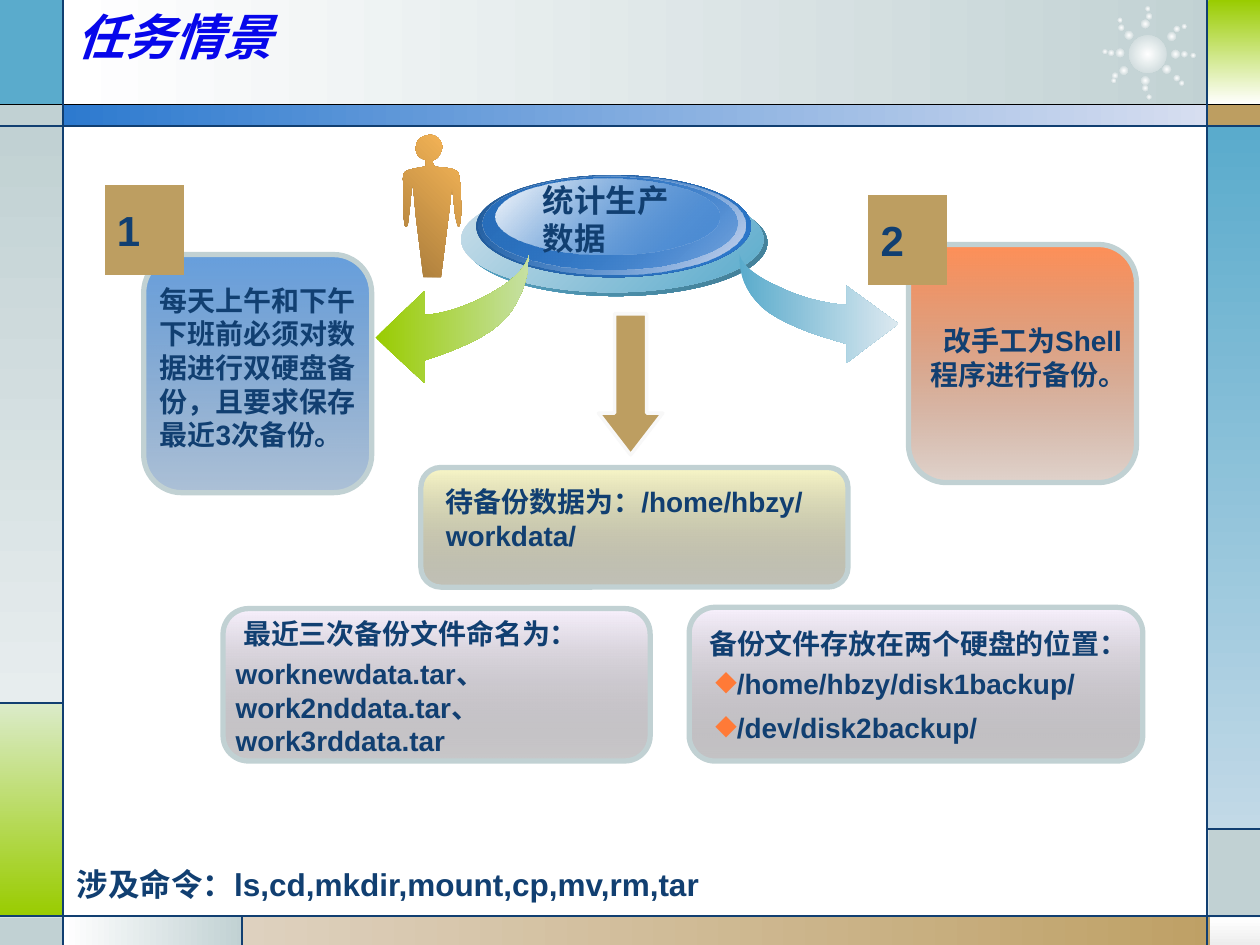
from lxml.etree import SubElement as Sub
from pptx import Presentation
from pptx.dml.color import RGBColor
from pptx.enum.shapes import MSO_CONNECTOR, MSO_SHAPE as SHP
from pptx.enum.text import MSO_ANCHOR as ANC, PP_ALIGN as ALN
from pptx.oxml import parse_xml
from pptx.oxml.ns import nsdecls, qn
from pptx.util import Inches, Pt

# Content: colours and fonts
NAVY, GREY, TAN, BLUE, SKY = "113F71", "C1D1D3", "BD9E61", "2D7ACF", "5AABCC"
LIME, DEEP, CJK = "99CC00", "205794", "Noto Sans CJK JP"
BODY = {"name": "Arial", "bold": True}
HEAD = {"name": CJK, "bold": True, "italic": True}

# A fill is a hex string, or (angle, stop, stop); a stop is (hex, opacity %)
BANDS = [
    ((0.5, 0, 9.27, 0.84), (0, "FFFFFF", GREY)),
    ((0, 0, 0.5, 0.84), SKY),
    ((0, 0.83, 0.5, 0.17), GREY),
    ((0, 1, 0.5, 4.58), (90, GREY, "E7EDEE")),
    ((0, 5.58, 0.5, 1.69), (90, "DBEBC9", LIME)),
    ((0, 7.28, 0.5, 0.22), GREY),
    ((0.5, 7.27, 1.43, 0.23), (0, "FFFFFF", GREY)),
    ((1.92, 7.27, 8.08, 0.23), (0, "DED1BF", TAN)),
    ((9.6, 7.28, 0.4, 0.22), (90, "FFFFFF", "EDEDED")),
    ((9.59, 6.58, 0.41, 0.7), GREY),
    ((9.58, 1, 0.42, 5.58), (90, SKY, "C2D9E7")),
    ((9.58, 0.83, 0.42, 0.17), TAN),
    ((9.59, 0, 0.41, 0.83), (90, LIME, "FFFFFF")),
    ((0.5, 0.83, 9.09, 0.17), (0, BLUE, "D7DEF0")),
]
RULES = [
    (0, 0.83, 10, 0.83, "000000"), (0, 1, 10, 1, NAVY),
    (0, 7.27, 10, 7.27, NAVY), (0.5, 0, 0.5, 7.5, NAVY),
    (9.58, 0, 9.58, 7.5, NAVY), (0, 5.58, 0.5, 5.58, NAVY),
    (1.92, 7.27, 1.92, 7.5, NAVY), (9.58, 6.58, 10, 6.58, NAVY),
]
# Star: centres of the large, middle and small dot of each ray
SIZES = (0.07, 0.05, 0.04)
RAYS = [
    ((9.26, 0.55), (9.34, 0.62), (9.38, 0.66)),
    ((9.33, 0.43), (9.4, 0.43), (9.47, 0.44)),
    ((9.3, 0.29), (9.34, 0.23), (9.4, 0.21)),
    ((9.09, 0.64), (9.09, 0.7), (9.12, 0.77)),
    ((9.09, 0.19), (9.12, 0.13), (9.11, 0.07)),
    ((8.96, 0.28), (8.9, 0.22), (8.89, 0.16)),
    ((8.89, 0.42), (8.82, 0.42), (8.77, 0.41)),
    ((8.92, 0.56), (8.85, 0.6), (8.84, 0.64)),
]
DISCS = [
    ((3.69, 1.5, 2.4, 0.85), (45, SKY, "427D95")),
    ((3.66, 1.48, 2.4, 0.84), (45, "CCDFEA", SKY)),
    ((3.78, 1.39, 2.18, 0.81), (45, DEEP, BLUE)),
    ((3.8, 1.39, 2.12, 0.79), (45, (BLUE, 0), "D4DCF0")),
    ((3.83, 1.4, 2.02, 0.74), (45, "296EBB", (BLUE, 48))),
    ((3.93, 1.42, 1.78, 0.6), (45, "FFFFFF", (BLUE, 38))),
]
# Outlines: two numbers are a corner, six a curve
MAN = [
    (3.44, 1.27), (3.48, 1.26, 3.5, 1.22, 3.51, 1.17),
    (3.51, 1.12, 3.47, 1.07, 3.41, 1.07), (3.34, 1.08, 3.3, 1.11, 3.3, 1.18),
    (3.3, 1.24, 3.34, 1.26, 3.38, 1.27), (3.38, 1.29, 3.38, 1.31, 3.38, 1.32),
    (3.34, 1.33, 3.25, 1.34, 3.22, 1.36), (3.19, 1.38, 3.2, 1.42, 3.2, 1.48),
    (3.2, 1.71), (3.21, 1.76, 3.21, 1.8, 3.22, 1.8),
    (3.24, 1.81, 3.24, 1.74, 3.25, 1.68), (3.27, 1.47),
    (3.28, 1.48, 3.29, 1.59, 3.3, 1.71), (3.36, 2.2), (3.5, 2.2), (3.56, 1.72),
    (3.58, 1.58, 3.58, 1.49, 3.59, 1.49), (3.61, 1.69),
    (3.62, 1.74, 3.63, 1.8, 3.64, 1.8), (3.65, 1.8, 3.66, 1.74, 3.66, 1.68),
    (3.66, 1.62, 3.66, 1.49, 3.65, 1.44), (3.64, 1.38, 3.65, 1.37, 3.61, 1.35),
    (3.58, 1.33, 3.47, 1.33, 3.45, 1.32), (3.44, 1.31, 3.43, 1.29, 3.44, 1.27),
]
LEFT = [
    (4.2, 2.02), (4.2, 2.13, 4.17, 2.34, 4.02, 2.52),
    (3.88, 2.67, 3.65, 2.77, 3.37, 2.86), (3.37, 3.04), (2.98, 2.68),
    (3.37, 2.31), (3.37, 2.5), (3.55, 2.49, 3.75, 2.41, 3.89, 2.33),
    (4.04, 2.25, 4.18, 2.13, 4.2, 2.02),
]
RIGHT = [
    (5.87, 2.02), (5.86, 2.16, 5.91, 2.31, 6.05, 2.44),
    (6.19, 2.56, 6.43, 2.65, 6.72, 2.73), (6.72, 2.88), (7.13, 2.57),
    (6.72, 2.27), (6.72, 2.42), (6.53, 2.41, 6.33, 2.35, 6.19, 2.28),
    (6.03, 2.21, 5.89, 2.12, 5.87, 2.02),
]
FORMS = [(MAN, (315, "A77B3B", "FAB858")), (LEFT, (0, LIME, "C6E0A4")),
         (RIGHT, (0, SKY, "DCE9F0"))]
CARDS = [
    ((1.14, 2.02, 1.81, 1.89), (90, (BLUE, 73), (DEEP, 37))),
    ((7.21, 1.94, 1.81, 1.89), (90, ("FF7A37", 84), ("763819", 22))),
    ((1.77, 4.83, 3.39, 1.21), (90, "F8F1FD", ("737075", 38))),
    ((3.34, 3.71, 3.39, 0.95), (90, "F9F7C7", ("73725C", 43))),
    ((5.47, 4.82, 3.6, 1.22), (90, "F8F1FD", ("737075", 41))),
]
# Texts: place, size, side inset, paragraphs (text, space before, indent, bullet)
TEXTS = [
    ((4.21, 1.39, 1.34, 0.7), 18, 0.1, [("统计生产数据", 0, 0, "")]),
    ((1.17, 2.2, 1.91, 1.47), 16, 0.1,
     [("每天上午和下午下班前必须对数据进行双硬盘备份，且要求保存最近3次备份。", 0, 0, "")]),
    ((7.29, 2.52, 1.73, 0.9), 16, 0.1, [("改手工为Shell程序进行备份。", 0, 0.1, "")]),
    ((3.44, 3.8, 3.29, 0.64), 16, 0.1,
     [("待备份数据为：/home/hbzy/workdata/", 0, 0, "")]),
    ((1.87, 4.84, 3.29, 1.22), 16, 0,
     [("最近三次备份文件命名为：", 0, 0.06, ""),
      ("worknewdata.tar、work2nddata.tar、work3rddata.tar", 4, 0, "")]),
    ((5.53, 4.92, 3.8, 1.05), 16, 0.1,
     [("备份文件存放在两个硬盘的位置：", 0, 0, ""),
      ("/home/hbzy/disk1backup/", 4, -0.17, "◆"),
      ("/dev/disk2backup/", 6, -0.17, "◆")]),
    ((0.51, 6.82, 6.69, 0.4), 18, 0.1,
     [("涉及命令：ls,cd,mkdir,mount,cp,mv,rm,tar", 0, 0, "")]),
]
TAGS = [("1", 0.83, 1.47), ("2", 6.89, 1.55)]


def rgb(code):
    return RGBColor.from_string(code)


def paint(shp, fill, line=None, width=0):
    """Fill by hex string or gradient; angle None spreads from the centre."""
    shp.shadow.inherit = False
    if isinstance(fill, str):
        shp.fill.solid()
        shp.fill.fore_color.rgb = rgb(fill)
    else:
        ang, *ends = fill
        pairs = [(e, 100) if isinstance(e, str) else e for e in ends]
        stops = "".join(
            f'<a:gs pos="{i * 100000}"><a:srgbClr val="{c}">'
            f'<a:alpha val="{a * 1000}"/></a:srgbClr></a:gs>'
            for i, (c, a) in enumerate(pairs))
        way = (f'<a:lin ang="{ang * 60000}" scaled="0"/>' if ang is not None else
               '<a:path path="circle"><a:fillToRect l="50000" t="50000" '
               'r="50000" b="50000"/></a:path>')
        shp.fill.gradient()
        props = shp._element.spPr
        props.replace(props.find(qn("a:gradFill")), parse_xml(
            f'<a:gradFill {nsdecls("a")} rotWithShape="1">'
            f'<a:gsLst>{stops}</a:gsLst>{way}</a:gradFill>'))
    if line:
        shp.line.color.rgb = rgb(line)
        shp.line.width = Pt(width)
    else:
        shp.line.fill.background()


def shape(kind, box, fill, line=None, width=0):
    shp = slide.shapes.add_shape(kind, *map(Inches, box))
    paint(shp, fill, line, width)
    return shp


def style(par, size, look=BODY, color=NAVY):
    par.alignment = ALN.LEFT
    for run in par.runs:
        for key, val in {**look, "size": Pt(size)}.items():
            setattr(run.font, key, val)
        run.font.color.rgb = rgb(color)
        Sub(run.font._element, qn("a:ea")).set("typeface", CJK)


def trace(steps, fill):
    """Outline in thousandths of an inch, curves cut into short lines."""
    pts = [steps[0]]
    for step in steps[1:]:
        if len(step) == 2:
            pts.append(step)
            continue
        ends = [pts[-1], step[:2], step[2:4], step[4:]]
        for t in (i / 8 for i in range(1, 9)):
            mix = ((1 - t) ** 3, 3 * t * (1 - t) ** 2, 3 * t * t * (1 - t), t ** 3)
            pts.append(tuple(sum(m * e[k] for m, e in zip(mix, ends)) for k in (0, 1)))
    pts = [(x * 1000, y * 1000) for x, y in pts]
    form = slide.shapes.build_freeform(*pts[0], scale=914.4)
    form.add_line_segments(pts[1:], close=True)
    paint(form.convert_to_shape(), fill)


def write(box, size, side, pars):
    frame = slide.shapes.add_textbox(*map(Inches, box)).text_frame
    frame.word_wrap = True
    frame.margin_left = frame.margin_right = Inches(side)
    for i, (text, gap, dent, mark) in enumerate(pars):
        par = frame.add_paragraph() if i else frame.paragraphs[0]
        par.text = text
        props = par._p.get_or_add_pPr()
        props.set("indent", str(Inches(dent)))
        if mark:
            props.set("marL", str(Inches(0.22)))
            Sub(Sub(props, qn("a:buClr")), qn("a:srgbClr")).set("val", "FF7A37")
            Sub(props, qn("a:buChar")).set("char", mark)
        if gap:
            par.space_before = Pt(gap)
        style(par, size)


deck = Presentation()
deck.slide_width, deck.slide_height = Inches(10), Inches(7.5)
slide = deck.slides.add_slide(deck.slide_layouts[5])

# Frame of bands, star and rules
for box, fill in BANDS:
    shape(SHP.RECTANGLE, box, fill)
GLOW = (None, "FFFFFF", GREY)
shape(SHP.OVAL, (8.96, 0.28, 0.3, 0.3), GLOW)
for ray in RAYS:
    for (x, y), d in zip(ray, SIZES):
        shape(SHP.OVAL, (x - d / 2, y - d / 2, d, d), GLOW)
for *ends, color in RULES:
    rule = slide.shapes.add_connector(MSO_CONNECTOR.STRAIGHT, *map(Inches, ends))
    rule.line.color.rgb = rgb(color)
    rule.line.width = Pt(0.75)
    Sub(rule._element.spPr, qn("a:effectLst"))

# Diagram: discs, figure and arrows, cards
for box, fill in DISCS:
    shape(SHP.OVAL, box, fill)
for steps, fill in FORMS:
    trace(steps, fill)
for box, fill in CARDS:
    shape(SHP.ROUNDED_RECTANGLE, box, fill, GREY, 3)
down = shape(SHP.DOWN_ARROW, (4.75, 2.49, 0.51, 1.12), TAN, "F8F8F8", 2)
down.adjustments[1] = 0.65

# Texts and number tags
for item in TEXTS:
    write(*item)
for text, x, y in TAGS:
    tag = shape(SHP.ACTION_BUTTON_CUSTOM, (x, y, 0.63, 0.71), TAN).text_frame
    tag.text = text
    tag.vertical_anchor = ANC.MIDDLE
    style(tag.paragraphs[0], 24)

# Title, in front of the bands
title = slide.shapes.title
title.left, title.top, title.width, title.height = map(Inches, (0.51, 0, 9, 0.79))
title.text_frame.text = "任务情景"
title.text_frame.vertical_anchor = ANC.TOP
style(title.text_frame.paragraphs[0], 28, HEAD, "0707EB")
slide.shapes._spTree.append(title._element)

deck.save("out.pptx")
